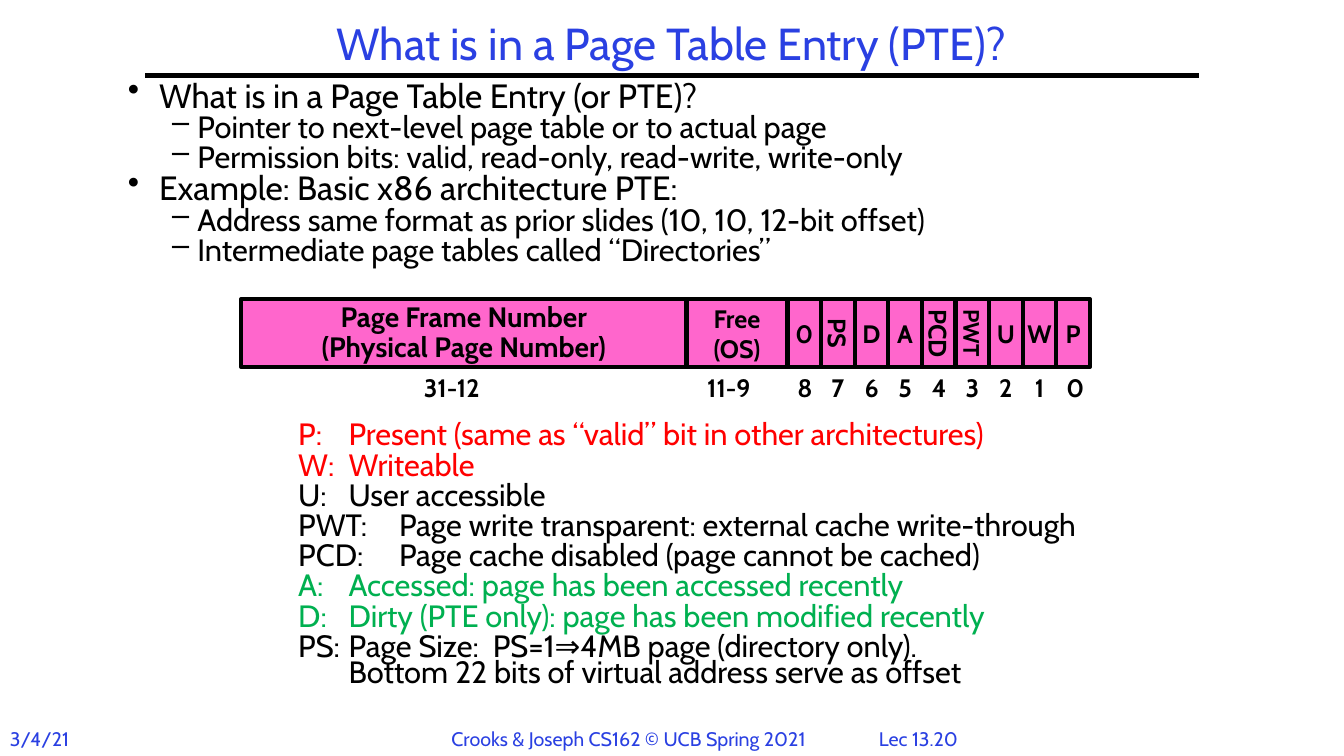
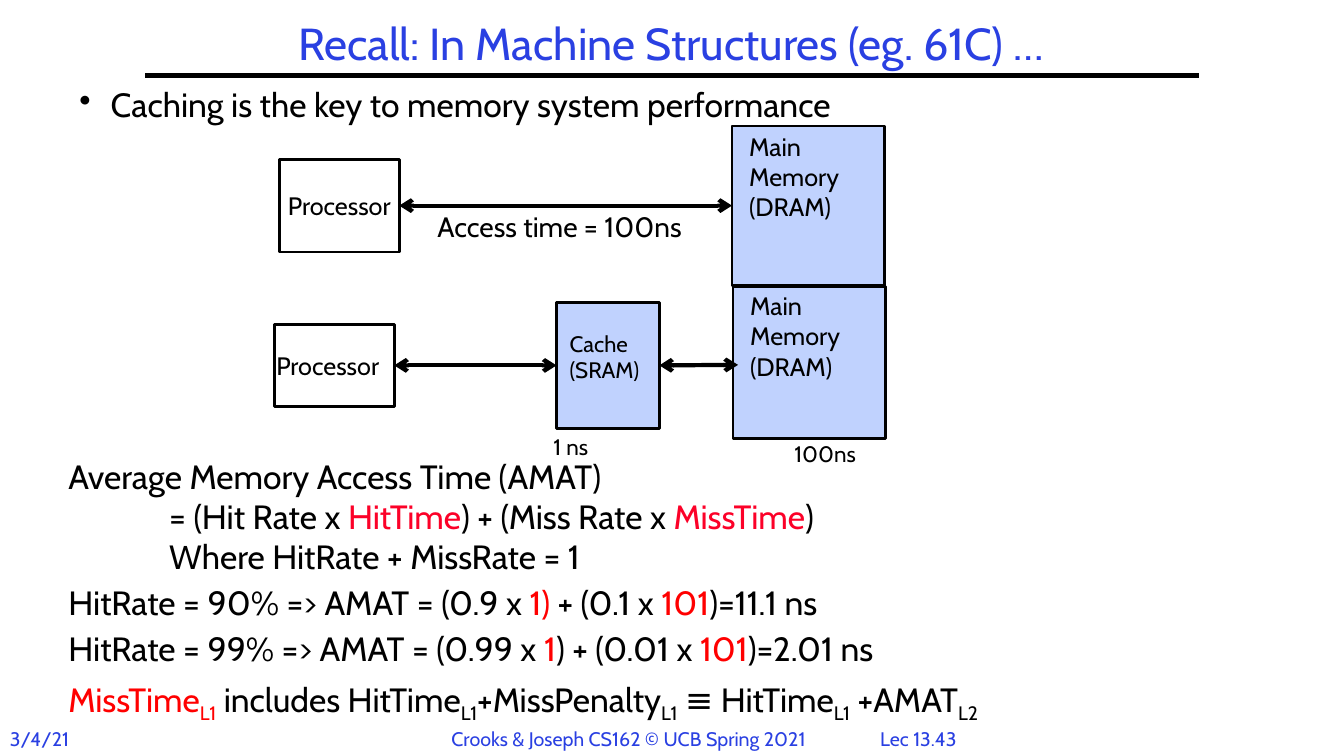
from pptx import Presentation
from pptx.dml.color import RGBColor
from pptx.enum.shapes import MSO_CONNECTOR as Link, MSO_SHAPE as Shape
from pptx.enum.text import MSO_ANCHOR as Anchor, PP_ALIGN as Align
from pptx.oxml.ns import qn
from pptx.util import Inches, Pt
from lxml.etree import SubElement as Sub

# Shared look
FONT = "Cabin"
BLUE, BLACK, RED, GREEN = "2A40E2", "000000", "FF0000", "00B050"
ROSE, PINK, PALE = "FC0128", "FF66CC", "C0D2FE"
EDGE = (0.1, 0.05, 0.1, 0.05)
RIGHT, LEFT = 3, 1


def color(code):
    return RGBColor.from_string(code)


def inches(*sizes):
    return [Inches(size) for size in sizes]


# Text: a paragraph is a string or a list of runs; a run is a string or (string, format)
def add_runs(par, runs, size, fill, bold):
    for item in [runs] if isinstance(runs, str) else runs:
        words, form = (item, {}) if isinstance(item, str) else item
        if words == "\n":
            par.add_line_break()
            continue
        run = par.add_run()
        run.text = words
        run.font.name, run.font.size, run.font.bold = FONT, Pt(size), bold
        run.font.color.rgb = color(form.get("fill", fill))
        if form.get("sub"):
            run.font._element.set("baseline", "-25000")


def write(frame, pars, size=18, fill=BLACK, bold=False, align=Align.LEFT, anchor=Anchor.TOP,
          inset=EDGE, wrap=True, turn=None, lead=1.0, before=0, bullet=None,
          indent=0, hang=0, tab=None):
    frame.word_wrap, frame.vertical_anchor = wrap, anchor
    (frame.margin_left, frame.margin_top,
     frame.margin_right, frame.margin_bottom) = inches(*inset)
    if turn:
        frame._txBody.bodyPr.set("vert", turn)
    fresh = not frame.text
    for runs in pars:
        par = frame.paragraphs[0] if fresh else frame.add_paragraph()
        props = par._p.get_or_add_pPr()
        props.set("marL", str(Inches(indent)))
        props.set("indent", str(Inches(-hang)))
        if bullet:
            Sub(props, qn("a:buChar"), char=bullet)
        if tab:
            stops = Sub(props, qn("a:tabLst"))
            Sub(stops, qn("a:tab"), pos=str(Inches(tab)), algn="l")
        par.alignment, par.line_spacing = align, lead
        par.space_before = Pt(0 if fresh else before)
        add_runs(par, runs, size, fill, bold)
        fresh = False


def label(slide, box, pars, **form):
    frame = slide.shapes.add_textbox(*inches(*box)).text_frame
    write(frame, pars, **form)
    return frame


# Shapes and lines
def block(slide, box, pars, fill=None, width=2, **form):
    shape = slide.shapes.add_shape(Shape.RECTANGLE, *inches(*box))
    shape.shadow.inherit = False
    if fill:
        shape.fill.solid()
        shape.fill.fore_color.rgb = color(fill)
    else:
        shape.fill.background()
    shape.line.color.rgb, shape.line.width = color(BLACK), Pt(width)
    write(shape.text_frame, pars, **form)
    return shape


def rule(slide, start, end, arrows=False):
    line = slide.shapes.add_connector(Link.STRAIGHT, *inches(*start, *end))
    line.line.color.rgb, line.line.width = color(BLACK), Pt(3)
    if arrows:
        stroke = line.line._get_or_add_ln()
        for tip in ("a:headEnd", "a:tailEnd"):
            Sub(stroke, qn(tip), type="arrow")
    Sub(line._element.spPr, qn("a:effectLst"))
    return line


def add_page(deck, title, number):
    slide = deck.slides.add_slide(deck.slide_layouts[6])
    rule(slide, (1.44, 0.75), (11.89, 0.75))
    label(slide, (1.44, 0.17, 10.44, 0.58), [title], size=32, fill=BLUE,
          align=Align.CENTER, anchor=Anchor.MIDDLE, lead=0.9)
    for left, width, words, align in (
            (0, 0.8, "3/4/21", Align.LEFT),
            (4.38, 3.76, "Crooks & Joseph CS162 © UCB Spring 2021", Align.LEFT),
            (8.5, 1.22, f"Lec {number}", Align.CENTER)):
        label(slide, (left, 7.16, width, 0.34), [words], size=14, fill=BLUE, align=align)
    return slide


# Page table entry
def add_fields(slide):
    bit = 1 / 3
    fields = [  # name, bits, width, size, direction, shift of the bit numbers
        (["Page Frame Number", "(Physical Page Number)"], "31-12", 4.42, 20, None, -0.12),
        (["Free", "(OS)"], "11-9", 1, 18, None, -0.08),
        (["0"], "8", bit, 18, None, 0),
        (["PS"], "7", bit, 18, "vert", 0),
        (["D"], "6", bit, 18, None, 0),
        (["A"], "5", bit, 18, None, 0),
        (["PCD"], "4", bit, 18, "eaVert", 0),
        (["PWT"], "3", bit, 16, "eaVert", 0),
        (["U"], "2", bit, 18, None, 0),
        (["W"], "1", bit, 18, None, 0),
        (["P"], "0", bit, 18, None, 0),
    ]
    left, top, high = 2.39, 2.97, 0.67
    for name, bits, wide, size, turn, shift in fields:
        block(slide, (left, top, wide, high), name, fill=PINK, width=3, size=size, bold=True,
              align=Align.CENTER, anchor=Anchor.MIDDLE, wrap=False, turn=turn,
              lead=0.9 if size == 20 else 1.0)
        label(slide, (left + shift, top + high, wide, 0.4), [bits], bold=True,
              align=Align.CENTER, wrap=False)
        left += wide


def entry_page(deck):
    slide = add_page(deck, "What is in a Page Table Entry (PTE)?", "13.20")
    topics = [
        ("What is in a Page Table Entry (or PTE)?",
         ["Pointer to next-level page table or to actual page",
          "Permission bits: valid, read-only, read-write, write-only"]),
        ("Example: Basic x86 architecture PTE:",
         ["Address same format as prior slides (10, 10, 12-bit offset)",
          "Intermediate page tables called “Directories”"]),
    ]
    frame = label(slide, (1.17, 0.8, 11, 2), [])
    for head, points in topics:
        write(frame, [head], size=24, lead=0.7, before=3, bullet="•", indent=0.31, hang=0.31)
        write(frame, points, size=22, lead=0.7, before=3, bullet="–", indent=0.69, hang=0.25)
    add_fields(slide)

    flags = [
        ("P", "Present (same as “valid” bit in other architectures)", RED),
        ("W", "Writeable", RED),
        ("U", "User accessible", BLACK),
        ("PWT", "Page write transparent: external cache write-through", BLACK),
        ("PCD", "Page cache disabled (page cannot be cached)", BLACK),
        ("A", "Accessed: page has been accessed recently", GREEN),
        ("D", "Dirty (PTE only): page has been modified recently", GREEN),
        ("PS", "Page Size:  PS=1⇒4MB page (directory only).", BLACK),
    ]
    pars = [[(f"{flag}:\t{sense}", {"fill": fill})] for flag, sense, fill in flags]
    pars[-1] += ["\n", "\tBottom 22 bits of virtual address serve as offset"]
    label(slide, (2.86, 4.17, 9.3, 2.8), pars, size=22, lead=0.7, before=3.1, tab=1)


# Caching
def add_diagram(slide):
    memory = ["Main", "Memory", "(DRAM)"]
    chip = block(slide, (2.77, 1.58, 1.19, 0.92), ["Processor"], align=Align.CENTER,
                 anchor=Anchor.MIDDLE, wrap=False)
    store = block(slide, (7.26, 1.25, 1.51, 1.58), memory, fill=PALE, inset=(0.17, 0.05, 0, 0))
    chip_two = block(slide, (2.72, 3.22, 1.19, 0.81), ["Processor"], anchor=Anchor.MIDDLE,
                     inset=(0.02, 0.05, 0, 0.05))
    cache = block(slide, (5.52, 3, 1.02, 1.25), ["Cache", "(SRAM)"], fill=PALE, size=16,
                  inset=(0.13, 0.27, 0, 0))
    block(slide, (7.27, 2.84, 1.51, 1.51), memory, fill=PALE, inset=(0.17, 0.04, 0, 0))

    for source, target, start, end in (
            (chip, store, (3.96, 2.04), (7.26, 2.04)),
            (chip_two, cache, (3.91, 3.62), (5.52, 3.62)),
            (cache, None, (6.54, 3.62), (7.32, 3.62))):
        line = rule(slide, start, end, arrows=True)
        line.begin_connect(source, RIGHT)
        if target:
            line.end_connect(target, LEFT)

    label(slide, (4.24, 2.03, 3, 0.44), ["Access time = 100ns"], size=20)
    label(slide, (5.39, 4.25, 0.97, 0.37), ["1 ns"], size=16)
    label(slide, (7.78, 4.32, 0.97, 0.37), ["100ns"], size=16)


def cache_page(deck):
    slide = add_page(deck, "Recall: In Machine Structures (eg. 61C) …", "13.43")
    label(slide, (0.69, 0.83, 9.74, 0.5), ["Caching is the key to memory system performance"],
          size=24, lead=0.9, bullet="•", indent=0.31, hang=0.31)
    add_diagram(slide)

    rose, red = {"fill": ROSE}, {"fill": RED}
    low = ("L1", {"sub": True})
    frame = label(slide, (0.58, 4.47, 10.08, 2.9), ["Average Memory Access Time (AMAT)"], size=24)
    write(frame, [
        ["= (Hit Rate x ", ("HitTime", rose), ") + (Miss Rate x ", ("MissTime", rose), ")"],
        "Where HitRate + MissRate = 1",
    ], size=24, indent=1)
    write(frame, [
        ["HitRate = 90% => AMAT = (0.9 x ", ("1)", red), " + (0.1 x ", ("101", red),
         ")=11.1 ns"],
        ["HitRate = 99% => AMAT = (0.99 x ", ("1", red), ") + (0.01 x ", ("101", red),
         ")=2.01 ns"],
        [("MissTime", red), ("L1", {"fill": RED, "sub": True}), " includes HitTime", low,
         "+MissPenalty", low, " ≡ HitTime", low, " +AMAT", ("L2", {"sub": True})],
    ], size=24, lead=0.9, before=7.2)


def main():
    deck = Presentation()
    deck.slide_width, deck.slide_height = inches(13.33, 7.5)
    entry_page(deck)
    cache_page(deck)
    deck.save("out.pptx")


if __name__ == "__main__":
    main()
